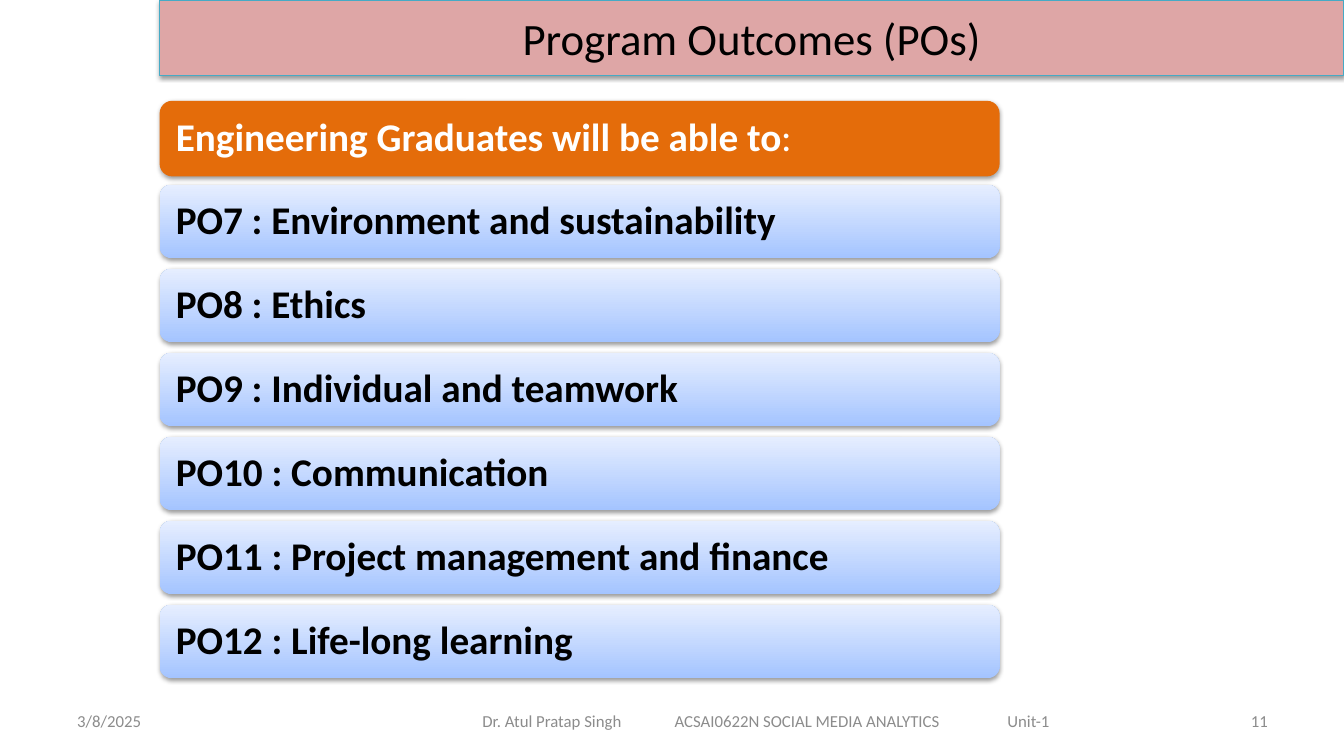
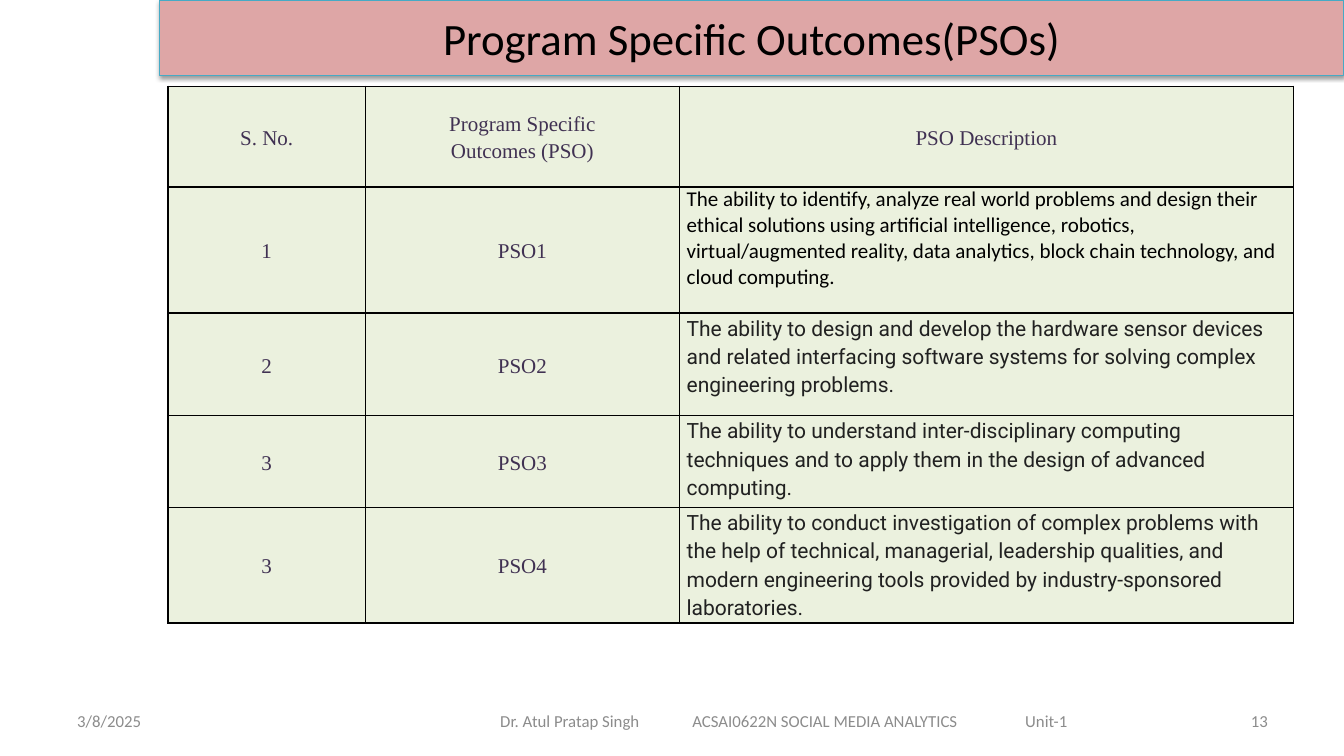
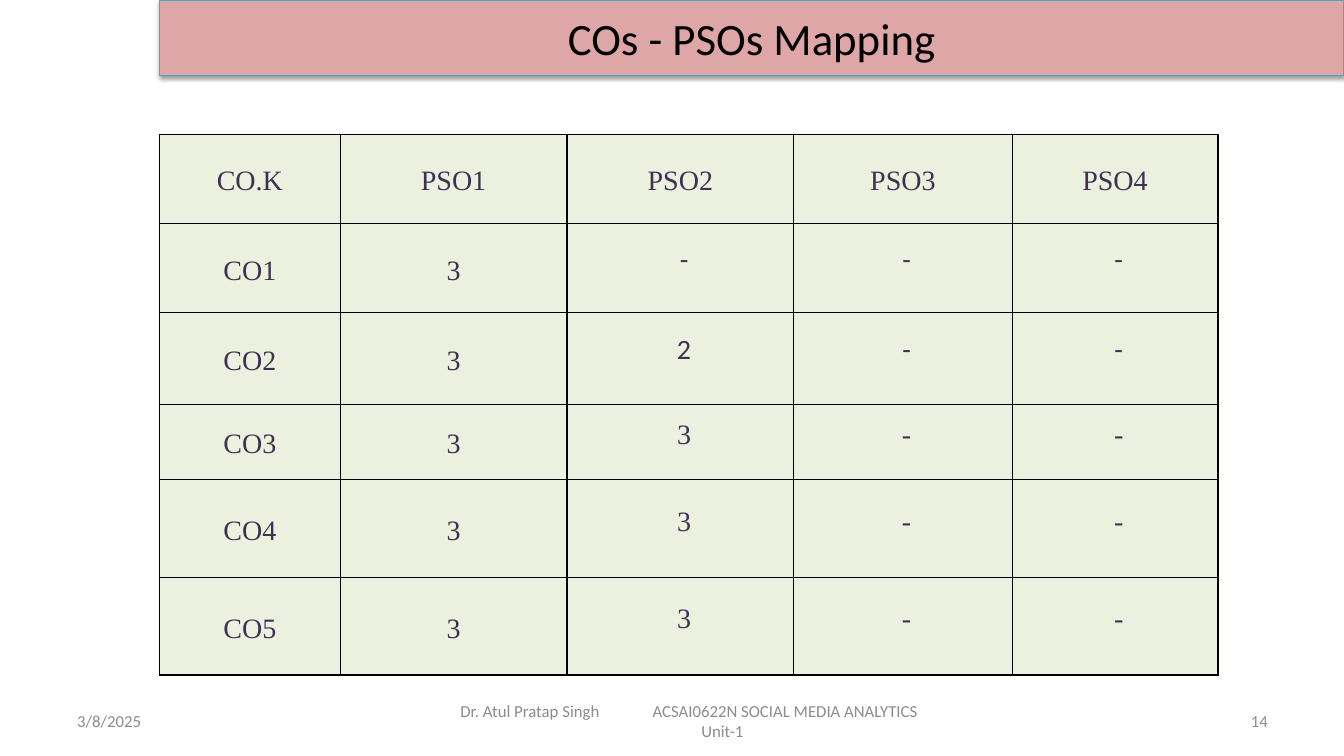
from dataclasses import dataclass

from lxml.etree import SubElement
from pptx import Presentation
from pptx.dml.color import RGBColor
from pptx.enum.shapes import MSO_SHAPE
from pptx.enum.text import MSO_ANCHOR, MSO_AUTO_SIZE, PP_ALIGN
from pptx.oxml.ns import qn
from pptx.util import Pt

PX = 9525  # EMU in one px, 96 px to the inch


@dataclass(frozen=True)
class Theme:
    sans: str = "Calibri"
    serif: str = "Times New Roman"
    description: str = "Roboto"
    black: str = "000000"
    white: str = "FFFFFF"
    band: str = "DEA6A6"
    band_line: str = "46AAC5"
    footer: str = "8C8C8C"
    heading: str = "E46C0A"
    card_bottom: str = "A4C4FF"
    card_top: str = "E6EEFF"
    cell: str = "EBF1DE"
    cell_text: str = "403152"
    body_text: str = "212121"
    title_size: int = 32
    card_size: int = 28
    mapping_size: int = 20
    table_size: int = 15
    footer_size: int = 12


theme = Theme()


def style(para, size, color, name=theme.sans, align=PP_ALIGN.LEFT, spacing=None):
    para.alignment = align
    para.line_spacing = spacing
    para.font.size = Pt(size)
    para.font.name = name
    para.font.color.rgb = RGBColor.from_string(color)


def add_grid(page, left, top, widths, heights, texts):
    """Add a bordered, filled table with its texts, and return it."""
    frame = page.shapes.add_table(len(heights), len(widths), left * PX, top * PX,
                                  sum(widths) * PX, sum(heights) * PX)
    table = frame.table
    table.first_row = table.horz_banding = False
    for column, width in zip(table.columns, widths):
        column.width = width * PX
    for row, height, row_texts in zip(table.rows, heights, texts):
        row.height = height * PX
        for cell, text in zip(row.cells, row_texts):
            cell.text = text
            cell.vertical_anchor = MSO_ANCHOR.MIDDLE
            cell.margin_left = cell.margin_right = 7 * PX
            cell.margin_top = cell.margin_bottom = 0
            properties = cell._tc.get_or_add_tcPr()
            for side in ("a:lnL", "a:lnR", "a:lnT", "a:lnB"):
                border = SubElement(properties, qn(side), w=str(Pt(1)))
                paint = SubElement(border, qn("a:solidFill"))
                SubElement(paint, qn("a:srgbClr"), val=theme.black)
            cell.fill.solid()
            cell.fill.fore_color.rgb = RGBColor.from_string(theme.cell)
    return table


deck = Presentation()
deck.slide_width, deck.slide_height = 1280 * PX, 720 * PX
title_only = deck.slide_layouts[5]

# Title band and footer of every page: title, number, footer left and width, wrapped unit
AUTHOR, COURSE, UNIT = "Dr. Atul Pratap Singh", "ACSAI0622N SOCIAL MEDIA ANALYTICS", "Unit-1"
page_settings = [
    ("Program Outcomes (POs)", "11", 450, 562, False),
    ("Program Specific Outcomes(PSOs)", "13", 467, 562, False),
    ("COs - PSOs Mapping", "14", 429, 518, True),
]
pages = []
raised = []
for title, number, footer_left, footer_width, unit_wraps in page_settings:
    page = deck.slides.add_slide(title_only)
    pages.append(page)
    band = page.shapes.title
    band.left, band.top, band.width, band.height = 152 * PX, 0, 1128 * PX, 72 * PX
    band.fill.solid()
    band.fill.fore_color.rgb = RGBColor.from_string(theme.band)
    band.line.color.rgb = RGBColor.from_string(theme.band_line)
    band.line.width = Pt(0.75)
    band.text_frame.text = title
    band.text_frame.auto_size = MSO_AUTO_SIZE.NONE
    band.text_frame.vertical_anchor = MSO_ANCHOR.MIDDLE
    style(band.text_frame.paragraphs[0], theme.title_size, theme.black, align=PP_ALIGN.CENTER)
    raised.append(band)

    credit = f"{AUTHOR}\t{COURSE}" + ("\n" if unit_wraps else "\t") + UNIT
    for text, left, width, align in [
        ("3/8/2025", 64, 299, PP_ALIGN.LEFT),
        (credit, footer_left, footer_width, PP_ALIGN.LEFT),
        (number, 918, 299, PP_ALIGN.RIGHT),
    ]:
        box = page.shapes.add_textbox(left * PX, 667 * PX, width * PX, 39 * PX)
        box.text_frame.word_wrap = True
        box.text_frame.vertical_anchor = MSO_ANCHOR.MIDDLE
        box.text_frame.text = text
        for para in box.text_frame.paragraphs:
            if "\t" in para.text:
                tabs = SubElement(para._p.get_or_add_pPr(), qn("a:tabLst"))
                for stop in (183, 500):
                    SubElement(tabs, qn("a:tab"), pos=str(stop * PX), algn="l")
            style(para, theme.footer_size, theme.footer, align=align)
        if text == credit and unit_wraps:
            box.text_frame.paragraphs[1].alignment = PP_ALIGN.CENTER

outcomes_page, specific_page, mapping_page = pages

# Program outcomes: a heading card and six outcome cards
HEADING = "Engineering Graduates will be able to"
outcomes = [
    HEADING,
    "PO7 : Environment and sustainability",
    "PO8 : Ethics",
    "PO9 : Individual and teamwork",
    "PO10 : Communication",
    "PO11 : Project management and finance",
    "PO12 : Life-long learning",
]
for index, outcome in enumerate(outcomes):
    is_heading = outcome == HEADING
    card = outcomes_page.shapes.add_shape(
        MSO_SHAPE.ROUNDED_RECTANGLE, 152 * PX, (96 + 80 * index) * PX,
        800 * PX, (72 if is_heading else 70) * PX)
    card.line.fill.background()
    if is_heading:
        card.fill.solid()
        card.fill.fore_color.rgb = RGBColor.from_string(theme.heading)
    else:
        card.fill.gradient()
        card.fill.gradient_angle = 90
        for stop, color in zip(card.fill.gradient_stops, (theme.card_bottom, theme.card_top)):
            stop.color.rgb = RGBColor.from_string(color)
    raised.append(card)
    card.text_frame.margin_left = card.text_frame.margin_right = 12 * PX
    card.text_frame.vertical_anchor = MSO_ANCHOR.MIDDLE
    para = card.text_frame.paragraphs[0]
    style(para, theme.card_size, theme.white if is_heading else theme.black, spacing=0.9)
    span = para.add_run()
    span.text = outcome
    span.font.bold = True
    if is_heading:
        para.add_run().text = ":"

# Soft shadow under the bands and cards
for shape in raised:
    shape.shadow.inherit = False
    effects = shape._element.spPr.find(qn("a:effectLst"))
    shadow = SubElement(effects, qn("a:outerShdw"), blurRad=str(Pt(3.1)), dist=str(Pt(1.6)),
                        dir="5400000", rotWithShape="0")
    shade = SubElement(shadow, qn("a:srgbClr"), val=theme.black)
    SubElement(shade, qn("a:alpha"), val="38000")

# Program specific outcomes
specific_rows = [
    ("S. No.", "Program Specific\nOutcomes (PSO)", "PSO Description"),
    ("1", "PSO1", "The ability to identify, analyze real world problems and design their ethical "
     "solutions using artificial intelligence, robotics, virtual/augmented reality, data "
     "analytics, block chain technology, and cloud computing."),
    ("2", "PSO2", "The ability to design and develop the hardware sensor devices and related "
     "interfacing software systems for solving complex engineering problems."),
    ("3", "PSO3", "The ability to understand inter-disciplinary computing techniques and to "
     "apply them in the design of advanced computing."),
    ("3", "PSO4", "The ability to conduct investigation of complex problems with the help of "
     "technical, managerial, leadership qualities, and modern engineering tools provided by "
     "industry-sponsored laboratories."),
]
specific_table = add_grid(specific_page, 160, 82, [188, 299, 585], [96, 120, 98, 87, 87],
                          specific_rows)
for row_index, row in enumerate(specific_table.rows):
    for column_index, cell in enumerate(row.cells):
        is_description = row_index > 0 and column_index == 2
        if is_description:
            cell.vertical_anchor = MSO_ANCHOR.TOP
        for para in cell.text_frame.paragraphs:
            if not is_description:
                style(para, theme.table_size, theme.cell_text, theme.serif, PP_ALIGN.CENTER, 1.15)
            elif row_index == 1:
                style(para, theme.table_size, theme.black)
            else:
                style(para, theme.table_size, theme.body_text, theme.description, spacing=1.15)
                para.space_after = Pt(7.5)

# Mapping of course outcomes to program specific outcomes
mapping_rows = [["CO.K", "PSO1", "PSO2", "PSO3", "PSO4"]]
for number, second_level in enumerate("-2333", start=1):
    mapping_rows.append([f"CO{number}", "3", second_level, "-", "-"])
mapping_table = add_grid(mapping_page, 152, 128, [172, 216, 216, 208, 196],
                         [85, 85, 87, 72, 93, 93], mapping_rows)
for row_index, row in enumerate(mapping_table.rows):
    for column_index, cell in enumerate(row.cells):
        is_level = row_index > 0 and column_index > 1
        para = cell.text_frame.paragraphs[0]
        style(para, theme.mapping_size, theme.cell_text,
              theme.sans if is_level and row_index < 3 else theme.serif,
              PP_ALIGN.CENTER, Pt(12.3) if is_level else 1.15)
        if is_level:
            para._p.get_or_add_pPr().set("marL", str(7 * PX))

deck.save("out.pptx")
